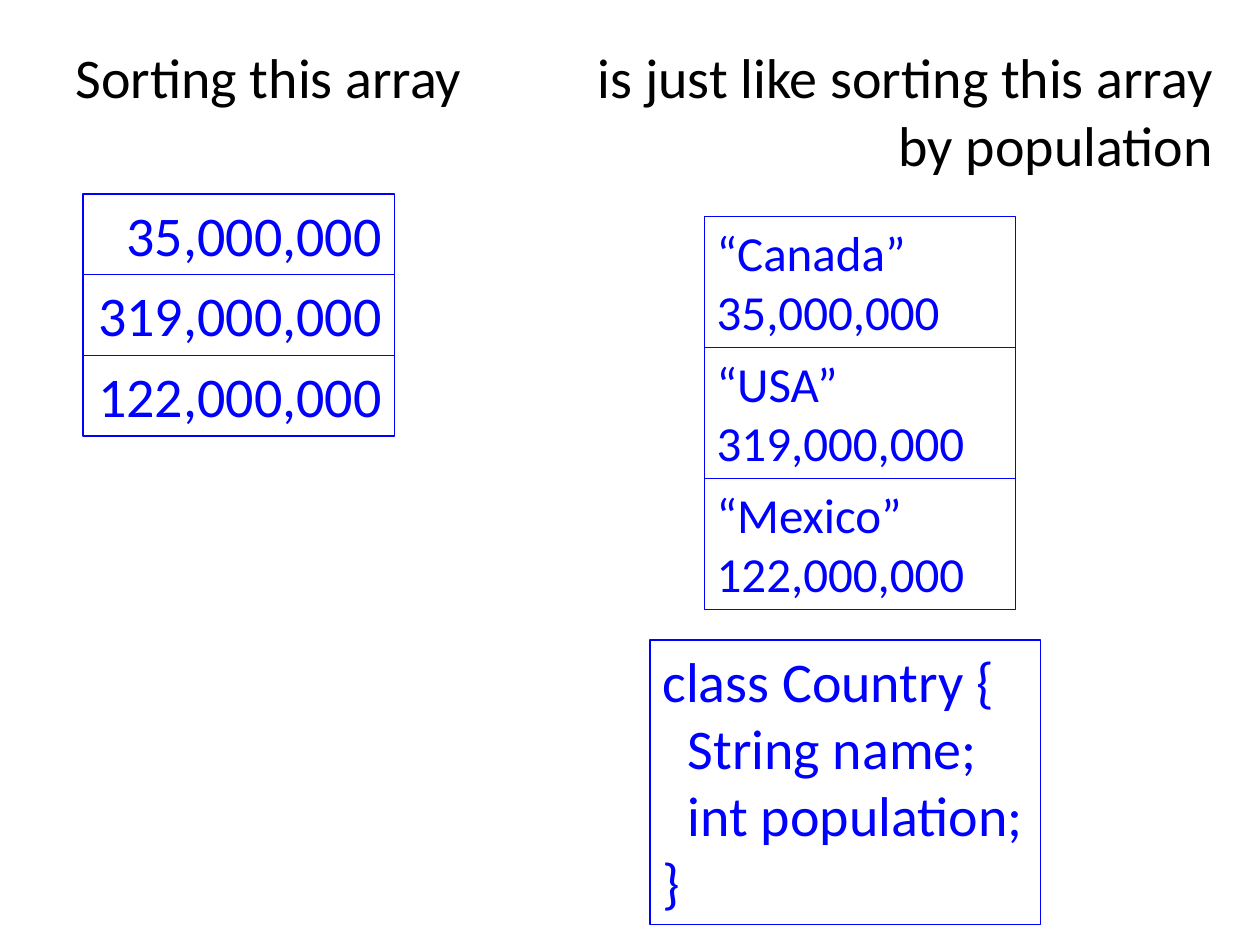
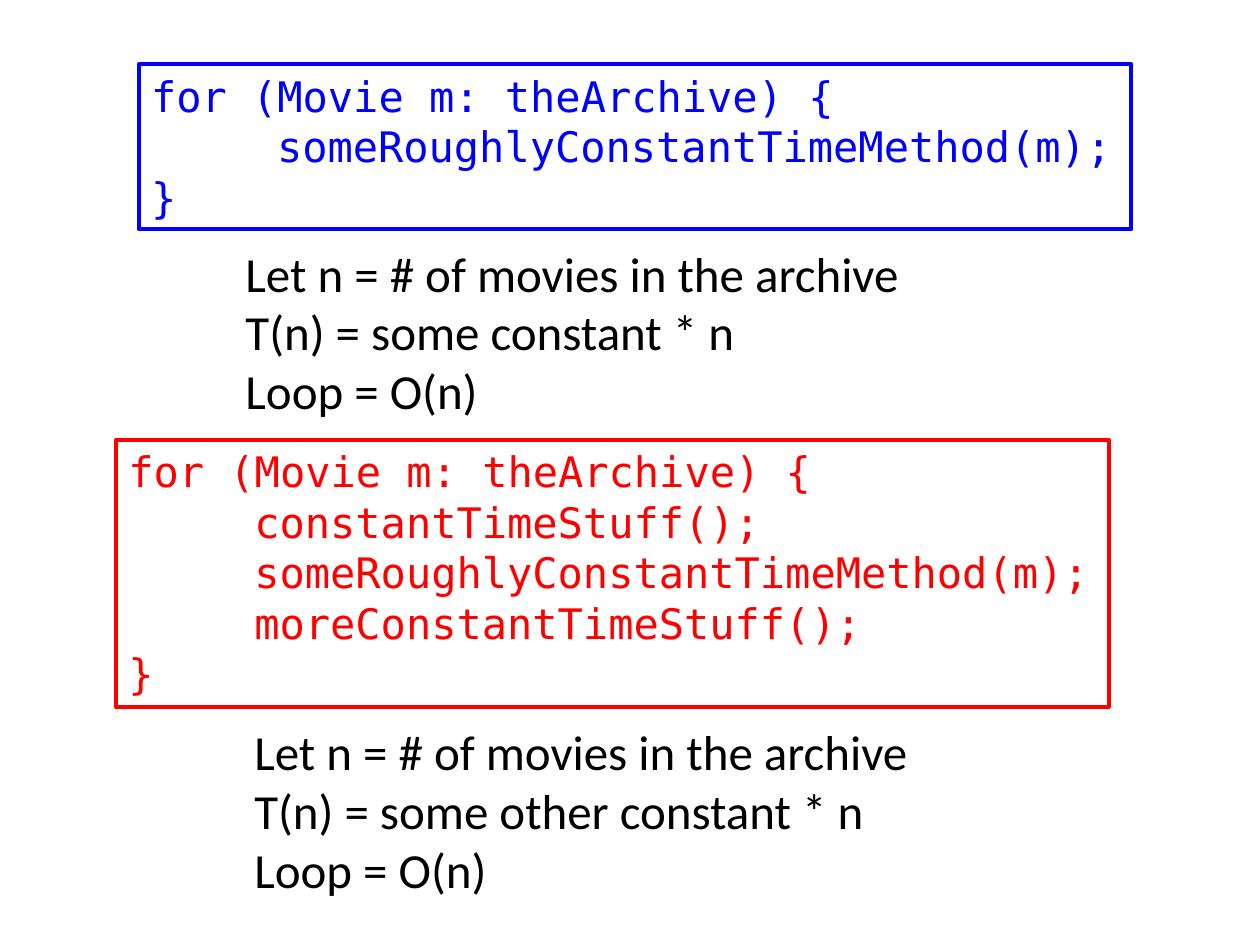
"""Build two slides on sorting arrays of objects and on the cost of loops."""
from lxml import etree
from pptx import Presentation
from pptx.dml.color import RGBColor
from pptx.enum import shapes, text
from pptx.oxml.ns import qn
from pptx.util import Inches, Pt

COLORS = {"black": "000000", "blue": "0000FF", "red": "FF0000", "white": "FFFFFF"}
PROSE = "Calibri"
CODE = "DejaVu Sans Mono"
TITLE_ONLY, BLANK = 5, 6


def color(name):
    """Return the named colour as an RGBColor."""
    return RGBColor.from_string(COLORS[name])


def write(frame, lines, size, color_name, font=PROSE, align=text.PP_ALIGN.LEFT, indent=0):
    """Write one paragraph per line, indenting lines that start with a tab by indent inches."""
    frame.word_wrap = True
    frame.vertical_anchor = text.MSO_ANCHOR.TOP
    for index, line in enumerate(lines):
        paragraph = frame.paragraphs[0] if index == 0 else frame.add_paragraph()
        paragraph.alignment = align
        paragraph.font.name = font
        paragraph.font.size = Pt(size)
        paragraph.font.color.rgb = color(color_name)
        if indent and line.startswith("\t"):
            paragraph._p.get_or_add_pPr().set("marL", str(Inches(indent)))
            line = line[1:]
        paragraph.text = line


def add_box(parent, box, lines, size, color_name, line_width, **style):
    """Add an unfilled rectangle whose outline and text share a colour."""
    shape = parent.shapes.add_shape(shapes.MSO_SHAPE.RECTANGLE, *map(Inches, box))
    shape.shadow.inherit = False
    shape.fill.background()
    shape.line.color.rgb = color(color_name)
    shape.line.width = Pt(line_width)
    write(shape.text_frame, lines, size, color_name, **style)
    return shape


def add_heading(slide, box, lines, right_stop):
    """Place the title, whose tabs lead to a right-aligned stop."""
    title = slide.shapes.title
    title.left, title.top, title.width, title.height = map(Inches, box)
    title.text_frame.auto_size = text.MSO_AUTO_SIZE.NONE
    write(title.text_frame, lines, 32, "black")
    for paragraph in title.text_frame.paragraphs:
        stops = etree.Element(qn("a:tabLst"))
        etree.SubElement(stops, qn("a:tab"), pos=str(Inches(right_stop)), algn="r")
        properties = paragraph._p.get_or_add_pPr()
        default_run = properties.find(qn("a:defRPr"))
        if default_run is None:
            properties.append(stops)
        else:
            default_run.addprevious(stops)


def add_array(slide, box, elements, size, align):
    """Stack equal cells, one per array element, in a group filling the box."""
    left, top, width, height = box
    cell_height = height / len(elements)
    group = slide.shapes.add_group_shape()
    for index, lines in enumerate(elements):
        cell = (left, top + index * cell_height, width, cell_height)
        add_box(group, cell, lines, size, "blue", 0.75, align=align)


def add_loop_analysis(slide, box, color_name, body, code_height, notes_offset, constant):
    """Add a loop's code and, at an offset inside the box, its running time."""
    left, top, width, height = box
    code = ["for (Movie m: theArchive) {", *("\t" + call for call in body), "}"]
    add_box(slide, (left, top, width, code_height), code, 24, color_name, 2.25,
            font=CODE, indent=1)
    offset_x, offset_y = notes_offset
    notes = slide.shapes.add_textbox(Inches(left + offset_x), Inches(top + offset_y),
                                     Inches(5.46), Inches(height - offset_y))
    write(notes.text_frame,
          ["Let n = # of movies in the archive", f"T(n) = {constant} * n", "Loop = O(n)"],
          28, "black")
    return notes


def build_sorting_slide(presentation):
    """Compare an array of numbers with an array of countries."""
    slide = presentation.slides.add_slide(presentation.slide_layouts[TITLE_ONLY])
    add_heading(slide, (0.5, 0.29, 9.4, 1.18),
                ["Sorting this array\tis just like sorting this array", "\tby population"],
                right_stop=9.03)
    countries = [("“Canada”", "35,000,000"), ("“USA”", "319,000,000"),
                 ("“Mexico”", "122,000,000")]
    add_array(slide, (0.66, 1.54, 2.47, 1.92), [[people] for _, people in countries],
              32, text.PP_ALIGN.RIGHT)
    add_array(slide, (5.59, 1.72, 2.47, 3.12), countries, 28, text.PP_ALIGN.LEFT)
    add_box(slide, (5.16, 5.08, 3.1, 2.26),
            ["class Country {", "\tString name;", "\tint population;", "}"],
            32, "blue", 0.75, indent=0.2)


def build_loop_slide(presentation):
    """Show that two loops with different constants are both linear."""
    slide = presentation.slides.add_slide(presentation.slide_layouts[BLANK])
    method = "someRoughlyConstantTimeMethod(m);"
    add_loop_analysis(slide, (1.1, 0.51, 7.88, 2.88), "blue", [method],
                      1.31, (0.75, 1.37), "some constant")
    notes = add_loop_analysis(slide, (0.92, 3.49, 7.88, 3.7), "red",
                              ["constantTimeStuff();", method, "moreConstantTimeStuff();"],
                              2.12, (1, 2.19), "some other constant")
    notes.fill.solid()
    notes.fill.fore_color.rgb = color("white")
    fill_color = notes._element.spPr.find(qn("a:solidFill"))[0]
    etree.SubElement(fill_color, qn("a:alpha"), val="85000")


def main():
    """Build and save the presentation."""
    presentation = Presentation()
    presentation.slide_width = Inches(10)
    presentation.slide_height = Inches(7.5)
    build_sorting_slide(presentation)
    build_loop_slide(presentation)
    presentation.save("out.pptx")


if __name__ == "__main__":
    main()
